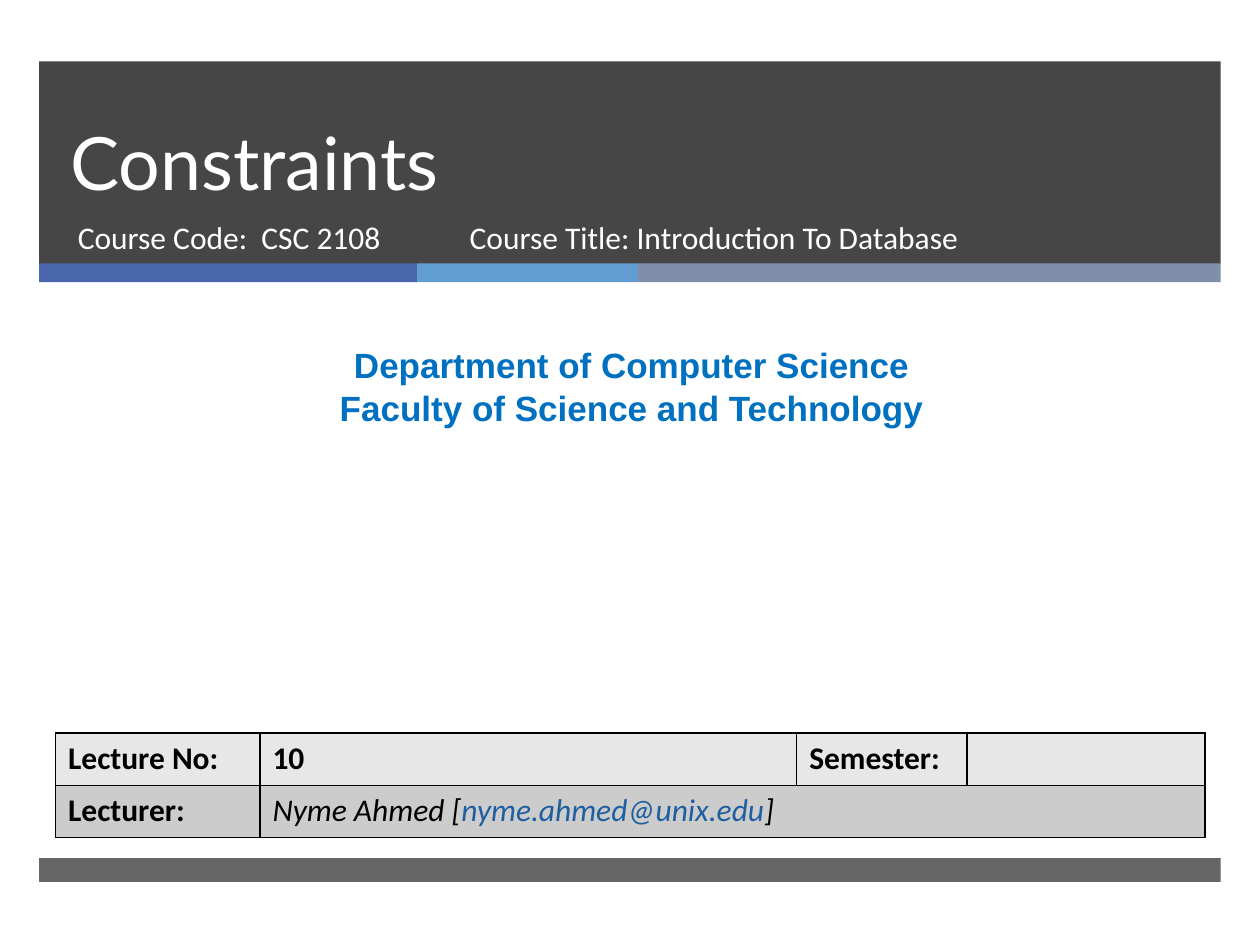
"""Build the opening slide of a database lecture on constraints."""
from dataclasses import dataclass

import lxml.etree
import pptx
import pptx.dml.color
import pptx.enum.shapes
import pptx.enum.text
import pptx.oxml.ns
import pptx.util
from pptx.util import Cm

qn = pptx.oxml.ns.qn
PP_ALIGN = pptx.enum.text.PP_ALIGN
MSO_ANCHOR = pptx.enum.text.MSO_ANCHOR


@dataclass(frozen=True)
class Theme:
    dark: str = "262626"
    accents: tuple = ("4A66AC", "629DD1", "7F8FA9")
    white: str = "FFFFFF"
    black: str = "000000"
    department: str = "0070C0"
    email: str = "1F5FA0"
    rows: tuple = ("E7E7E7", "CCCCCC")
    title_font: str = "Lato"
    body_font: str = "Calibri"
    department_font: str = "Arial"
    title_size: int = 42
    department_size: int = 20
    body_size: int = 18


theme = Theme()


def style_run(run, font, size, color, bold=False, italic=False):
    run.font.name = font
    run.font.size = pptx.util.Pt(size)
    run.font.bold = bold
    run.font.italic = italic
    run.font.color.rgb = pptx.dml.color.RGBColor.from_string(color)


def add_band(left, top, width, height, color, opacity=100):
    band = slide.shapes.add_shape(
        pptx.enum.shapes.MSO_SHAPE.RECTANGLE, Cm(left), Cm(top), Cm(width), Cm(height))
    band.shadow.inherit = False
    band.line.fill.background()
    band.fill.solid()
    band.fill.fore_color.rgb = pptx.dml.color.RGBColor.from_string(color)
    if opacity < 100:
        tint = band.fill._xPr.find(".//" + qn("a:srgbClr"))
        lxml.etree.SubElement(tint, qn("a:alpha"), val=str(opacity * 1000))


deck = pptx.Presentation()
deck.slide_width, deck.slide_height = Cm(25.4), Cm(19.05)
slide = deck.slides.add_slide(deck.slide_layouts[6])

margin = 0.79
stripe_widths = (7.62, 4.45, 11.75)
band_width = sum(stripe_widths)
add_band(margin, 1.24, band_width, 4.08, theme.dark, 85)
stripe_left = margin
for stripe_width, accent in zip(stripe_widths, theme.accents):
    add_band(stripe_left, 5.31, stripe_width, 0.38, accent)
    stripe_left += stripe_width
add_band(margin, 17.3, band_width, 0.48, theme.dark, 70)

title_style = (theme.title_font, theme.title_size, theme.white)
course_style = (theme.body_font, theme.body_size, theme.white)
department_style = (theme.department_font, theme.department_size, theme.department, True)
texts = (
    ("Constraints", (1.17, 1.24, 21.69, 3.02), title_style, PP_ALIGN.LEFT, MSO_ANCHOR.BOTTOM, 46),
    ("Course Code:  CSC 2108", (1.32, 4.27, 7.75, 1.35), course_style,
     PP_ALIGN.LEFT, MSO_ANCHOR.TOP, None),
    ("Department of Computer Science\nFaculty of Science and Technology",
     (0.2, 6.81, 25.07, 1.96), department_style, PP_ALIGN.CENTER, MSO_ANCHOR.TOP, None),
    ("Course Title: Introduction To Database", (9.22, 4.27, 11.56, 1.35), course_style,
     PP_ALIGN.LEFT, MSO_ANCHOR.TOP, None),
)
for wording, place, style, alignment, anchor, spacing in texts:
    frame = slide.shapes.add_textbox(*map(Cm, place)).text_frame
    frame.word_wrap = True
    frame.vertical_anchor = anchor
    frame.text = wording
    for paragraph in frame.paragraphs:
        paragraph.alignment = alignment
        if spacing:
            paragraph.line_spacing = pptx.util.Pt(spacing)
        for run in paragraph.runs:
            style_run(run, *style)

column_widths = (4.12, 10.82, 3.43, 4.8)
row_height = 1.05
details = slide.shapes.add_table(
    2, 4, Cm(1.12), Cm(14.78), Cm(sum(column_widths)), Cm(2 * row_height)).table
for column, width in zip(details.columns, column_widths):
    column.width = Cm(width)
for row, row_color in zip(details.rows, theme.rows):
    row.height = Cm(row_height)
    for cell in row.cells:
        for side in ("a:lnL", "a:lnR", "a:lnT", "a:lnB"):
            border = lxml.etree.SubElement(
                cell._tc.get_or_add_tcPr(), qn(side), w=str(pptx.util.Pt(1)))
            border_fill = lxml.etree.SubElement(border, qn("a:solidFill"))
            lxml.etree.SubElement(border_fill, qn("a:srgbClr"), val=theme.black)
        cell.fill.solid()
        cell.fill.fore_color.rgb = pptx.dml.color.RGBColor.from_string(row_color)
details.cell(1, 1).merge(details.cell(1, 3))

labels = {(0, 0): "Lecture No:", (0, 1): "10", (0, 2): "Semester:", (1, 0): "Lecturer:"}
for position, label in labels.items():
    paragraph = details.cell(*position).text_frame.paragraphs[0]
    paragraph.text = label
    style_run(paragraph.runs[0], theme.body_font, theme.body_size, theme.black, bold=True)

lecturer = details.cell(1, 1).text_frame.paragraphs[0]
for part, color in (("Nyme Ahmed [", theme.black), ("nyme.ahmed@unix.edu", theme.email),
                    ("]", theme.black)):
    run = lecturer.add_run()
    run.text = part
    style_run(run, theme.body_font, theme.body_size, color, italic=True)

deck.save("out.pptx")
